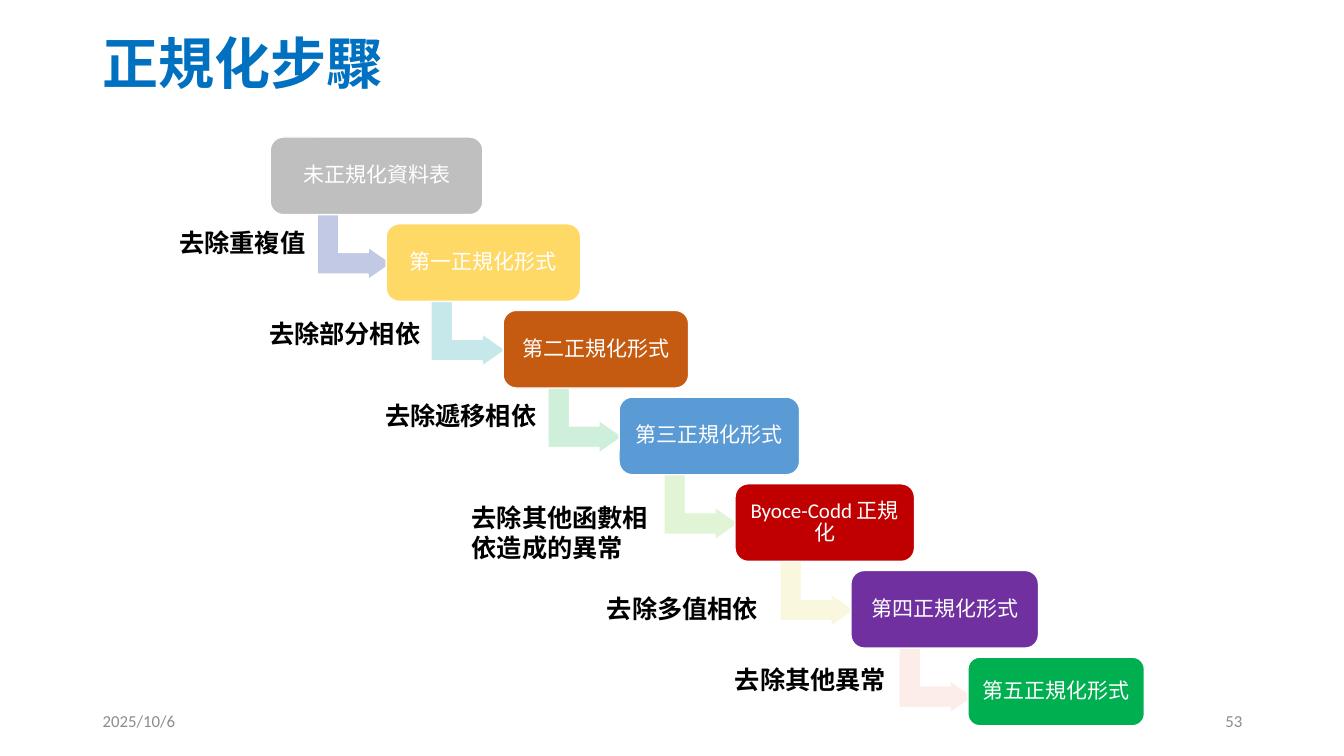
from typing import NamedTuple, Optional

from lxml.etree import SubElement
from pptx import Presentation
from pptx.dml.color import RGBColor
from pptx.enum.shapes import MSO_SHAPE as SHAPE
from pptx.enum.text import MSO_ANCHOR as ANCHOR, MSO_AUTO_SIZE as FIT, PP_ALIGN as ALIGN
from pptx.oxml.ns import qn
from pptx.util import Emu, Pt

PX = 9144
WHITE = RGBColor(0xFF, 0xFF, 0xFF)
BLACK = RGBColor(0x00, 0x00, 0x00)
TITLE_BLUE = RGBColor(0x00, 0x70, 0xC0)
FOOTER_GRAY = RGBColor(0x8C, 0x8C, 0x8C)
GRAY = RGBColor(0xBF, 0xBF, 0xBF)
YELLOW = RGBColor(0xFF, 0xD9, 0x66)
ORANGE = RGBColor(0xC5, 0x5A, 0x11)
BLUE = RGBColor(0x5B, 0x9B, 0xD5)
RED = RGBColor(0xC0, 0x00, 0x00)
PURPLE = RGBColor(0x70, 0x30, 0xA0)
GREEN = RGBColor(0x00, 0xB0, 0x50)
PALE_BLUE = RGBColor(0xC1, 0xC9, 0xE4)
PALE_CYAN = RGBColor(0xC7, 0xE8, 0xEA)
PALE_MINT = RGBColor(0xCE, 0xF0, 0xDA)
PALE_GREEN = RGBColor(0xE1, 0xF5, 0xD6)
PALE_CREAM = RGBColor(0xF9, 0xF7, 0xDE)
PALE_PINK = RGBColor(0xFC, 0xED, 0xE8)

LATIN = "Calibri"
CJK = "Noto Sans CJK SC"
FIRST_LEFT, FIRST_TOP = 268, 136
STEP_X, STEP_Y = 115.3, 86
ARROW_DROP = 72
ARROW_W, ARROW_H = 65, 74


class Box(NamedTuple):
    left: int
    top: int
    width: int
    height: int


class Arrow(NamedTuple):
    offset: int
    color: RGBColor


class Stage(NamedTuple):
    text: str
    width: int
    height: int
    color: RGBColor
    arrow: Optional[Arrow] = None


class Label(NamedTuple):
    text: str
    box: Box
    wrap: bool = False


STAGES = [
    Stage("未正規化資料表", 211, 77, GRAY, Arrow(51, PALE_BLUE)),
    Stage("第一正規化形式", 193, 77, YELLOW, Arrow(49, PALE_CYAN)),
    Stage("第二正規化形式", 184, 77, ORANGE, Arrow(49, PALE_MINT)),
    Stage("第三正規化形式", 179, 77, BLUE, Arrow(49, PALE_GREEN)),
    Stage("Byoce-Codd 正規化", 178, 77, RED, Arrow(49, PALE_CREAM)),
    Stage("第四正規化形式", 186, 77, PURPLE, Arrow(52, PALE_PINK)),
    Stage("第五正規化形式", 175, 68, GREEN),
]
LABELS = [
    Label("去除重複值", Box(168, 221, 146, 40)),
    Label("去除部分相依", Box(257, 311, 172, 40)),
    Label("去除遞移相依", Box(372, 392, 172, 40)),
    Label("去除其他函數相依造成的異常", Box(458, 493, 196, 71), True),
    Label("去除多值相依", Box(592, 584, 172, 40)),
    Label("去除其他異常", Box(719, 654, 172, 40)),
]

STAGE_FRAME = dict(word_wrap=True, vertical_anchor=ANCHOR.MIDDLE,
                   **{f"margin_{side}": Emu(6 * PX)
                      for side in ("left", "right", "top", "bottom")})
TITLE_FRAME = dict(word_wrap=True, vertical_anchor=ANCHOR.MIDDLE, auto_size=FIT.NONE)
FOOTER_FRAME = dict(word_wrap=True, vertical_anchor=ANCHOR.MIDDLE)
STAGE_FONT = dict(name=LATIN, size=Pt(15), bold=False)
TITLE_FONT = dict(name=LATIN, size=Pt(40), bold=True)
LABEL_FONT = dict(name=CJK, size=Pt(18), bold=True)
FOOTER_FONT = dict(name=LATIN, size=Pt(12), bold=False)


def apply(target, formats: dict) -> None:
    for name, value in formats.items():
        setattr(target, name, value)


def emu(box: Box) -> list[Emu]:
    return [Emu(v * PX) for v in box]


def write(sp, text: str, frame: dict, para: dict, font: dict, color: RGBColor) -> None:
    tf = sp.text_frame
    apply(tf, frame)
    p = tf.paragraphs[0]
    apply(p, para)
    r = p.add_run()
    r.text = text
    apply(r.font, font)
    r.font.color.rgb = color
    SubElement(r._r.get_or_add_rPr(), qn("a:ea"), typeface=CJK)


def add_filled(s, kind: SHAPE, box: Box, color: RGBColor, adjustments: tuple):
    sp = s.shapes.add_shape(kind, *emu(box))
    sp.shadow.inherit = False
    sp.fill.solid()
    sp.fill.fore_color.rgb = color
    sp.line.color.rgb = WHITE
    sp.line.width = Pt(1)
    for i, value in enumerate(adjustments):
        sp.adjustments[i] = value
    return sp


def add_stage(s, index: int, stage: Stage) -> None:
    left = FIRST_LEFT + round(STEP_X * index)
    top = FIRST_TOP + STEP_Y * index
    if stage.arrow:
        box = Box(left + stage.arrow.offset, top + ARROW_DROP, ARROW_W, ARROW_H)
        arrow = add_filled(s, SHAPE.BENT_UP_ARROW, box, stage.arrow.color,
                           (0.33, 0.25, 0.36))
        arrow.rotation = 90
    sp = add_filled(s, SHAPE.ROUNDED_RECTANGLE, Box(left, top, stage.width, stage.height),
                    stage.color, (0.17,))
    write(sp, stage.text, STAGE_FRAME, dict(alignment=ALIGN.CENTER, line_spacing=0.9),
          STAGE_FONT, WHITE)


def add_label(s, label: Label) -> None:
    sp = s.shapes.add_textbox(*emu(label.box))
    frame = dict(word_wrap=label.wrap, auto_size=FIT.SHAPE_TO_FIT_TEXT)
    write(sp, label.text, frame, {}, LABEL_FONT, BLACK)


def add_footer(s, text: str, left: int, alignment: ALIGN) -> None:
    sp = s.shapes.add_textbox(*emu(Box(left, 695, 300, 40)))
    write(sp, text, FOOTER_FRAME, dict(alignment=alignment), FOOTER_FONT, FOOTER_GRAY)


def main() -> None:
    prs = Presentation()
    apply(prs, dict(slide_width=Emu(1333 * PX), slide_height=Emu(750 * PX)))
    s = prs.slides.add_slide(prs.slide_layouts[5])
    title = s.shapes.title
    apply(title, dict(zip(Box._fields, emu(Box(92, 15, 1150, 102)))))
    write(title, "正規化步驟", TITLE_FRAME, dict(alignment=ALIGN.LEFT, line_spacing=0.9),
          TITLE_FONT, TITLE_BLUE)
    add_footer(s, "2025/10/6", 92, ALIGN.LEFT)
    add_footer(s, "53", 942, ALIGN.RIGHT)
    for index, stage in enumerate(STAGES):
        add_stage(s, index, stage)
    for label in LABELS:
        add_label(s, label)
    prs.save("out.pptx")


if __name__ == "__main__":
    main()
